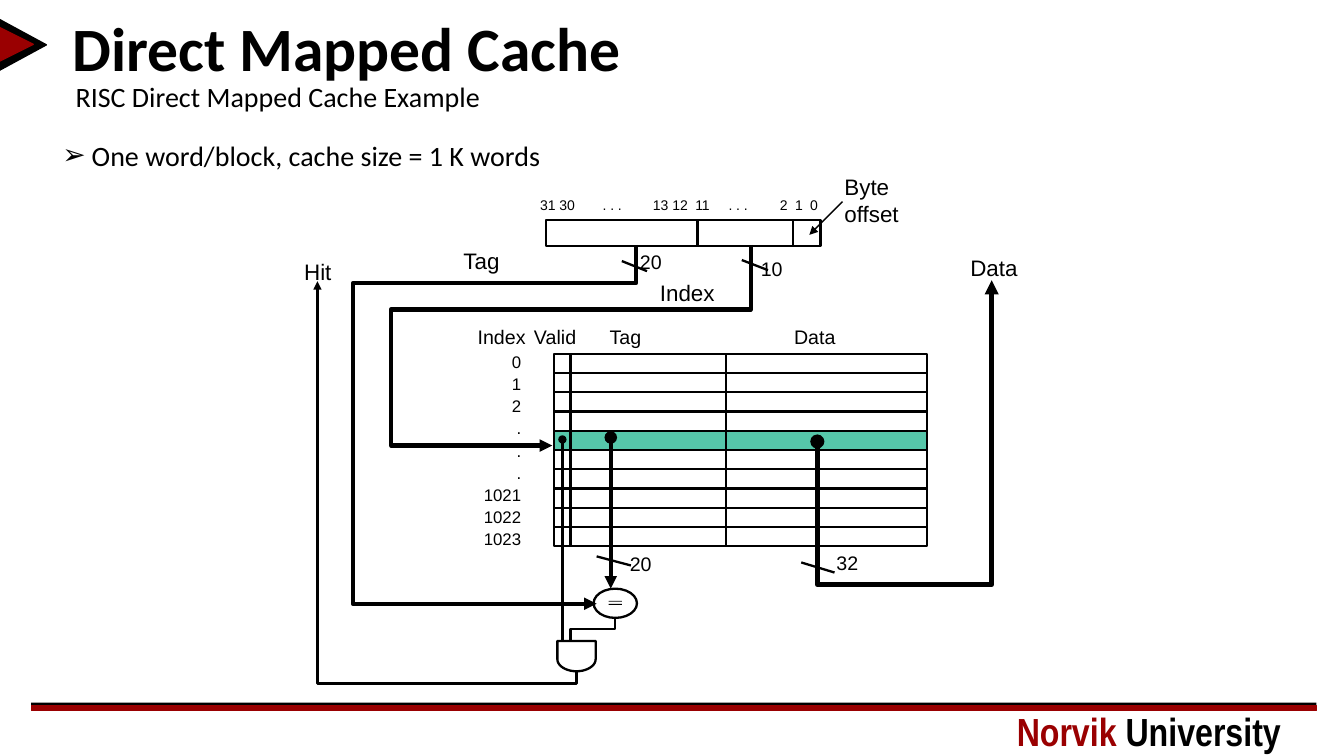
from dataclasses import dataclass
from math import cos, pi, sin

from lxml.etree import SubElement
from pptx import Presentation
from pptx.dml.color import RGBColor
from pptx.enum.shapes import MSO_CONNECTOR, MSO_SHAPE
from pptx.enum.text import MSO_ANCHOR, MSO_AUTO_SIZE, PP_ALIGN
from pptx.oxml.ns import qn
from pptx.util import Cm, Pt

COLORS = {"ink": "000000", "red": "9A0001", "selected": "56C7AA"}
THIN, THICK = 1.63, 3


def color(name):
    return RGBColor.from_string(COLORS[name])


def inches(value):
    return Cm(value * 2.54)


@dataclass
class Box:
    left: float
    top: float
    width: float
    height: float

    def point(self, x, y):
        return inches(self.left + x), inches(self.top + y)

    def area(self, x, y, width, height):
        return *self.point(x, y), inches(width), inches(height)


def add_preset(slide, kind, area, fill=None, line=None, weight=1.0):
    shape = slide.shapes.add_shape(kind, *area)
    paint(shape, fill, line, weight)
    return shape


def paint(shape, fill, line, weight):
    shape.shadow.inherit = False
    if fill:
        shape.fill.solid()
        shape.fill.fore_color.rgb = color(fill)
    else:
        shape.fill.background()
    if line:
        shape.line.color.rgb = color(line)
        shape.line.width = Pt(weight)
    else:
        shape.line.fill.background()


def add_wire(slide, box, points, weight=THIN, head=None, tail=None):
    start, *rest = [box.point(x, y) for x, y in points]
    if len(rest) == 1:
        wire = slide.shapes.add_connector(MSO_CONNECTOR.STRAIGHT, *start, *rest[0])
        wire.line.color.rgb = color("ink")
        wire.line.width = Pt(weight)
        SubElement(wire.element.spPr, qn("a:effectLst"))
    else:
        builder = slide.shapes.build_freeform(*start)
        builder.add_line_segments(rest, close=False)
        wire = builder.convert_to_shape()
        paint(wire, None, "ink", weight)
    outline = wire.element.spPr.find(qn("a:ln"))
    for tag, ending in (("a:headEnd", head), ("a:tailEnd", tail)):
        if ending:
            SubElement(outline, qn(tag), type=ending)


def style(para, size, font="Arial", bold=False):
    para.font.size = Pt(size)
    para.font.name = font
    para.font.bold = bold
    para.font.color.rgb = color("ink")


def add_label(slide, area, text, size, wrap=False, align=PP_ALIGN.LEFT, spacing=1.0, tabs=()):
    frame = slide.shapes.add_textbox(*area).text_frame
    frame.word_wrap = wrap
    frame.text = text
    for para in frame.paragraphs:
        para.alignment = align
        para.line_spacing = spacing
        if tabs:
            stops = SubElement(para._p.get_or_add_pPr(), qn("a:tabLst"))
            for stop in tabs:
                SubElement(stops, qn("a:tab"), pos=str(inches(stop)), algn="l")
        style(para, size)


def fill_placeholder(holder, box, text, size, spacing=1.0, bold=False, bullet=None, hang=0):
    holder.left, holder.top, holder.width, holder.height = box.area(0, 0, box.width, box.height)
    frame = holder.text_frame
    frame.text = text
    frame.auto_size = MSO_AUTO_SIZE.NONE
    frame.vertical_anchor = MSO_ANCHOR.MIDDLE
    para = frame.paragraphs[0]
    para.alignment = PP_ALIGN.LEFT
    para.line_spacing = spacing
    para.space_before = Pt(0)
    properties = para._p.get_or_add_pPr()
    properties.set("marL", str(inches(hang)))
    properties.set("indent", str(-inches(hang)))
    if bullet:
        SubElement(properties, qn("a:buFont"), typeface="Arial")
        SubElement(properties, qn("a:buChar"), char=bullet)
    else:
        SubElement(properties, qn("a:buNone"))
    style(para, size, "Calibri", bold)
    return frame


def add_headings(slide, box):
    title, subtitle, body = slide.placeholders
    fill_placeholder(title, Box(box.left, box.top, 12.41, 0.73), "Direct Mapped Cache", 44, 0.9, True)
    for holder, place, text, options in (
        (subtitle, Box(box.left + 0.13, box.top + 0.61, 8.77, 0.45),
         "RISC Direct Mapped Cache Example", {"spacing": 0.8}),
        (body, Box(box.left, box.top + 1.22, 9.15, 0.34),
         "One word/block, cache size = 1 K words", {"bullet": "➢", "hang": 0.29}),
    ):
        frame = fill_placeholder(holder, place, text, 20, **options)
        frame.margin_left = frame.margin_right = frame.margin_top = frame.margin_bottom = 0


def add_page_frame(slide, box):
    add_preset(slide, MSO_SHAPE.RECTANGLE, box.area(0.31, 6.97, 12.75, 0.03), "ink")
    add_preset(slide, MSO_SHAPE.RECTANGLE, box.area(0.31, 7, 12.75, 0.05), "red", "red")
    for area, fill in (((-0.03, 0.21, 0.51, 0.47), "ink"), ((-0.01, 0.27, 0.34, 0.34), "red")):
        marker = add_preset(slide, MSO_SHAPE.ISOSCELES_TRIANGLE, box.area(*area), fill, fill)
        marker.rotation = 90
    frame = slide.shapes.add_textbox(*box.area(9.99, 6.97, 3.16, 0.57)).text_frame
    frame.word_wrap = True
    para = frame.paragraphs[0]
    for text, name in (("Norvik ", "red"), ("University", "ink")):
        span = para.add_run()
        span.text = text
        span.font.color.rgb = color(name)
    para.font.size = Pt(28)
    para.font.name = "Arial Narrow"
    para.font.bold = True


def add_address_register(slide, box):
    add_preset(slide, MSO_SHAPE.RECTANGLE, box.area(0, 0, box.width, box.height), None, "ink", THIN)
    for x in (1.5, 2.45):
        add_wire(slide, box, [(x, 0), (x, box.height)])
    add_label(slide, box.area(-0.16, -0.28, 3.1, 0.27), "31 30\t. . .\t13 12\t11\t. . .\t2\t1\t0", 10,
              wrap=True, tabs=(0.62, 1.12, 1.54, 1.87, 2.38, 2.53, 2.68))
    add_label(slide, box.area(2.86, -0.51, 0.92, 0.64), "Byte offset", 16, wrap=True)
    add_wire(slide, box, [(2.94, -0.18), (2.61, 0.15)], 1, tail="triangle")


def add_cache_table(slide, box):
    row = box.height / 10
    add_preset(slide, MSO_SHAPE.RECTANGLE, box.area(0, 4 * row, box.width, row), "selected")
    add_preset(slide, MSO_SHAPE.RECTANGLE, box.area(0, 0, box.width, box.height), None, "ink", THIN)
    for number in range(1, 10):
        add_wire(slide, box, [(0, number * row), (box.width, number * row)])
    for x in (0.16, 1.7):
        add_wire(slide, box, [(x, 0), (x, box.height)])
    for text, x, width in (("Index", -0.86, 0.78), ("Valid", -0.3, 0.66),
                           ("Tag", 0.45, 0.56), ("Data", 2.28, 0.66)):
        add_label(slide, box.area(x, -0.34, width, 0.33), text, 14)
    add_label(slide, box.area(-0.8, -0.09, 0.57, 2.09), "0\n1\n2\n.\n.\n.\n1021\n1022\n1023", 12,
              align=PP_ALIGN.RIGHT, spacing=1.1)


def add_address_paths(slide, box):
    right, bottom = box.width, box.height
    add_wire(slide, box, [(2.81, 0), (2.81, 0.38), (0, 0.38), (0, bottom), (2.42, bottom)],
             THICK, tail="triangle")
    add_wire(slide, box, [(right, 0), (right, 0.64), (0.38, 0.64), (0.38, 1.99), (1.98, 1.99)],
             THICK, tail="triangle")
    add_wire(slide, box, [(2.67, 0.16), (2.92, 0.26)])
    add_wire(slide, box, [(3.86, 0.15), (4.12, 0.25)])
    add_label(slide, box.area(2.75, 0, 0.42, 0.33), "20", 14)
    add_label(slide, box.area(right, 0.07, 0.42, 0.33), "10", 14)
    add_label(slide, box.area(1, -0.03, 0.58, 0.37), "Tag", 16)
    add_label(slide, box.area(2.95, 0.29, 0.74, 0.37), "Index", 16)


def add_hit_logic(slide, box):
    add_preset(slide, MSO_SHAPE.OVAL, box.area(2.74, 3.33, 0.43, 0.29), None, "ink", THIN)
    for y in (3.45, 3.48):
        add_preset(slide, MSO_SHAPE.RECTANGLE, box.area(2.89, y, 0.13, 0.01), "ink")
    add_wire(slide, box, [(2.91, 1.83), (2.91, 3.33)], THICK, "oval", "triangle")
    add_wire(slide, box, [(2.77, 3.01), (3.11, 3.1)])
    add_label(slide, box.area(3, 2.92, 0.42, 0.33), "20", 14)
    add_wire(slide, box, [(2.43, 1.85), (2.43, 3.85)], head="oval")
    add_wire(slide, box, [(2.95, 3.61), (2.95, 3.73), (2.51, 3.73), (2.51, 3.85)])
    curve = [(2.57 + 0.19 * cos(pi * step / 20), 4.03 + 0.12 * sin(pi * step / 20)) for step in range(21)]
    add_wire(slide, box, [(2.38, 3.85), (2.76, 3.85), *curve, (2.38, 3.85)])
    add_wire(slide, box, [(2.57, 4.15), (2.57, box.height), (0, box.height), (0, 0.28)], tail="triangle")
    add_label(slide, box.area(-0.23, 0, 0.47, 0.37), "Hit", 16)


def add_data_output(slide, box):
    right, bottom = box.width, box.height
    add_wire(slide, box, [(0, 1.91), (0, bottom), (right, bottom), (right, 0.31)], 3.38, "oval", "triangle")
    add_wire(slide, box, [(-0.16, 3.11), (0.17, 3.21)])
    add_label(slide, box.area(1.42, 0, 0.67, 0.37), "Data", 16)
    add_label(slide, box.area(0.09, 2.95, 0.42, 0.33), "32", 14)


def main():
    deck = Presentation()
    deck.slide_width, deck.slide_height = Cm(33.87), Cm(19.05)
    page = deck.slides.add_slide(deck.slide_layouts[3])
    add_page_frame(page, Box(0, 0, 13.33, 7.5))
    add_headings(page, Box(0.62, 0.15, 12.41, 1.56))
    add_cache_table(page, Box(5.5, 3.51, 3.7, 1.91))
    add_address_register(page, Box(5.42, 2.18, 2.72, 0.26))
    add_address_paths(page, Box(3.5, 2.43, 3.95, 3.56))
    add_hit_logic(page, Box(3.15, 2.51, 3.17, 4.27))
    add_data_output(page, Box(8.11, 2.47, 1.73, 3.33))
    deck.save("out.pptx")


if __name__ == "__main__":
    main()
